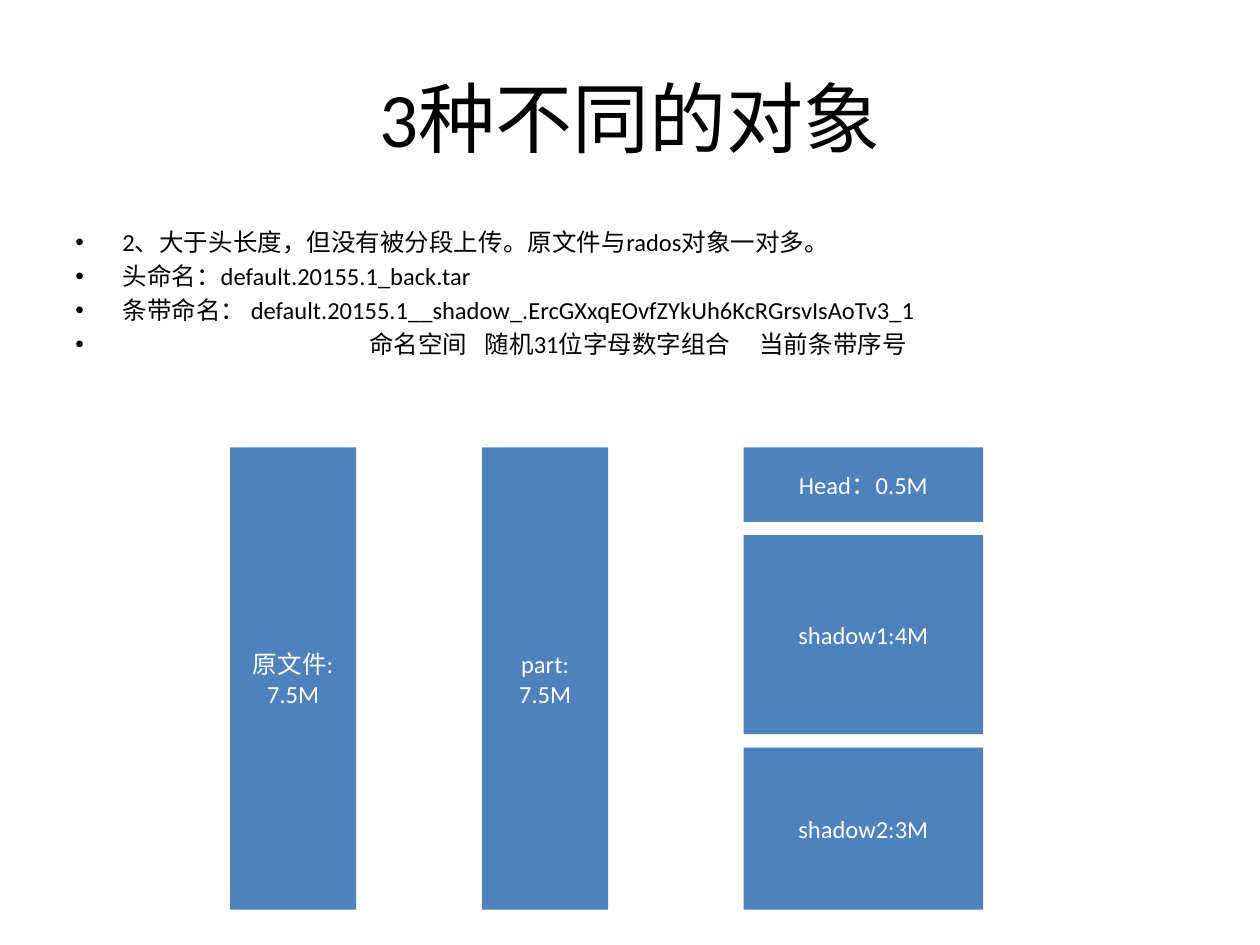
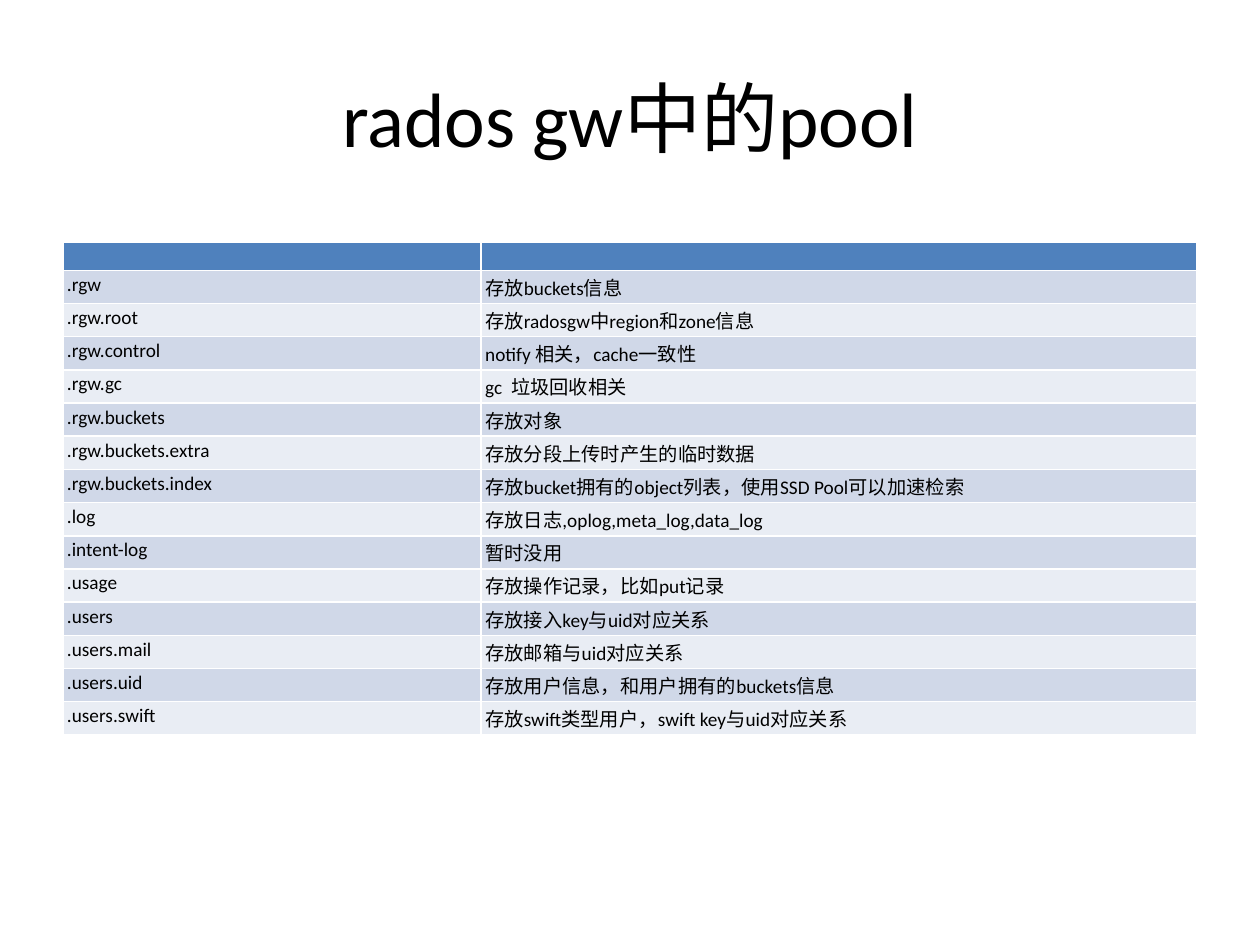
from collections import namedtuple

from lxml.etree import SubElement
from pptx import Presentation
from pptx.dml.color import RGBColor
from pptx.enum.shapes import MSO_SHAPE
from pptx.enum.text import MSO_ANCHOR, PP_ALIGN
from pptx.oxml.ns import qn
from pptx.util import Cm, Pt

Box = namedtuple("Box", "left top width height")

FONT = "Calibri"
BLACK, WHITE, BLUE = "000000", "FFFFFF", "4F81BD"
BANDS = ("D0D8E8", "E9EDF4")
TITLE_BOX = Box(1.27, 0.76, 22.86, 3.18)
BULLET_BOX = Box(1.27, 4.45, 22.86, 12.57)
DIAGRAM_BOX = Box(4.64, 9.02, 15.18, 9.32)
TABLE_BOX = Box(1.27, 4.88, 22.86, 9.95)

TEXT_INDENT = 0.95
LABEL_INDENT = 5.92
LABEL_TABS = (8.25, 13.79)
BULLETS = [
    ("2、大于头长度，但没有被分段上传。原文件与rados对象一对多。", TEXT_INDENT, ()),
    ("头命名：default.20155.1_back.tar", TEXT_INDENT, ()),
    ("条带命名： default.20155.1__shadow_.ErcGXxqEOvfZYkUh6KcRGrsvIsAoTv3_1",
     TEXT_INDENT, ()),
    ("命名空间\t随机31位字母数字组合\t当前条带序号", LABEL_INDENT, LABEL_TABS),
]
STRIPES = [("Head：0.5M", 1.5), ("shadow1:4M", 4.01), ("shadow2:3M", 3.27)]
POOLS = [
    (".rgw", "存放buckets信息"),
    (".rgw.root", "存放radosgw中region和zone信息"),
    (".rgw.control", "notify 相关，cache一致性"),
    (".rgw.gc", "gc  垃圾回收相关"),
    (".rgw.buckets", "存放对象"),
    (".rgw.buckets.extra", "存放分段上传时产生的临时数据"),
    (".rgw.buckets.index", "存放bucket拥有的object列表，使用SSD Pool可以加速检索"),
    (".log", "存放日志,oplog,meta_log,data_log"),
    (".intent-log", "暂时没用"),
    (".usage", "存放操作记录，比如put记录"),
    (".users", "存放接入key与uid对应关系"),
    (".users.mail", "存放邮箱与uid对应关系"),
    (".users.uid", "存放用户信息，和用户拥有的buckets信息"),
    (".users.swift", "存放swift类型用户，swift key与uid对应关系"),
]


def colour(value):
    """Turn a hex string into a colour."""
    return RGBColor.from_string(value)


def lengths(box):
    """Give the four sides of a box as lengths."""
    return [Cm(side) for side in box]


def style(paragraph, size, ink, align=PP_ALIGN.LEFT):
    """Set the font and alignment of a paragraph."""
    paragraph.alignment = align
    paragraph.font.name = FONT
    paragraph.font.size = Pt(size)
    paragraph.font.color.rgb = colour(ink)


def add_text_frame(page, box):
    """Add a wrapping text box and return its frame."""
    frame = page.shapes.add_textbox(*lengths(box)).text_frame
    frame.word_wrap = True
    return frame


def add_page(deck, title):
    """Add a blank page with the shared title."""
    page = deck.slides.add_slide(deck.slide_layouts[6])
    frame = add_text_frame(page, TITLE_BOX)
    frame.vertical_anchor = MSO_ANCHOR.MIDDLE
    frame.text = title
    style(frame.paragraphs[0], 44, BLACK, PP_ALIGN.CENTER)
    return page


def add_bullet(paragraph, indent, tabs):
    """Give a paragraph a hanging bullet and tab stops."""
    properties = paragraph._p.get_or_add_pPr()
    properties.set("marL", str(Cm(indent)))
    properties.set("indent", str(-Cm(indent)))
    SubElement(properties, qn("a:buFont"), typeface="Arial")
    SubElement(properties, qn("a:buChar"), char="•")
    if tabs:
        stops = SubElement(properties, qn("a:tabLst"))
        for position in tabs:
            SubElement(stops, qn("a:tab"), pos=str(Cm(position)), algn="l")


def add_bullets(page, box):
    """List how the head and stripe objects are named."""
    frame = add_text_frame(page, box)
    for index, (text, indent, tabs) in enumerate(BULLETS):
        paragraph = frame.add_paragraph() if index else frame.paragraphs[0]
        paragraph.text = text
        add_bullet(paragraph, indent, tabs)
        if index:
            paragraph.space_before = Pt(2.7)
        style(paragraph, 14, BLACK)


def add_block(page, box, text):
    """Draw one blue block with centred text."""
    block = page.shapes.add_shape(MSO_SHAPE.RECTANGLE, *lengths(box))
    block.shadow.inherit = False
    block.fill.solid()
    block.fill.fore_color.rgb = colour(BLUE)
    block.line.fill.background()
    frame = block.text_frame
    frame.word_wrap = True
    frame.vertical_anchor = MSO_ANCHOR.MIDDLE
    frame.text = text
    for paragraph in frame.paragraphs:
        style(paragraph, 14, WHITE, PP_ALIGN.CENTER)


def add_diagram(page, box):
    """Draw the file, its part and the stripes it is split into."""
    column_width, column_step, stripe_width = 2.54, 5.08, 4.83
    for index, text in enumerate(("原文件:\n7.5M", "part:\n7.5M")):
        left = box.left + index * column_step
        add_block(page, Box(left, box.top, column_width, box.height), text)
    gap = (box.height - sum(height for _, height in STRIPES)) / (len(STRIPES) - 1)
    left, top = box.left + box.width - stripe_width, box.top
    for text, height in STRIPES:
        add_block(page, Box(left, top, stripe_width, height), text)
        top += height + gap


def add_borders(cell):
    """Draw white borders round a cell."""
    properties = cell._tc.get_or_add_tcPr()
    for side in "LRTB":
        line = SubElement(properties, qn(f"a:ln{side}"), w=str(Pt(1)))
        fill = SubElement(line, qn("a:solidFill"))
        SubElement(fill, qn("a:srgbClr"), val=WHITE)


def fill_cell(cell, text, fill):
    """Write and colour one table cell."""
    cell.margin_left = cell.margin_right = Cm(0.08)
    cell.margin_top = cell.margin_bottom = Cm(0.05)
    add_borders(cell)
    cell.fill.solid()
    cell.fill.fore_color.rgb = colour(fill)
    paragraph = cell.text_frame.paragraphs[0]
    paragraph.text = text
    style(paragraph, 11, BLACK)
    if not text:
        SubElement(paragraph._p, qn("a:endParaRPr"), sz="1100")


def add_pool_table(page, box):
    """List the pools under an empty header row."""
    rows = [("", ""), *POOLS]
    table = page.shapes.add_table(len(rows), 2, *lengths(box)).table
    name_width, header_height = 8.43, 0.57
    pool_height = (box.height - header_height) / len(POOLS)
    table.columns[0].width = Cm(name_width)
    table.columns[1].width = Cm(box.width - name_width)
    for index, texts in enumerate(rows):
        table.rows[index].height = Cm(pool_height if index else header_height)
        fill = BANDS[(index - 1) % 2] if index else BLUE
        for cell, text in zip(table.rows[index].cells, texts):
            fill_cell(cell, text, fill)


def main():
    """Build and save the deck."""
    deck = Presentation()
    deck.slide_width, deck.slide_height = Cm(25.4), Cm(19.05)
    page = add_page(deck, "3种不同的对象")
    add_bullets(page, BULLET_BOX)
    add_diagram(page, DIAGRAM_BOX)
    page = add_page(deck, "rados gw中的pool")
    add_pool_table(page, TABLE_BOX)
    deck.save("out.pptx")


if __name__ == "__main__":
    main()
